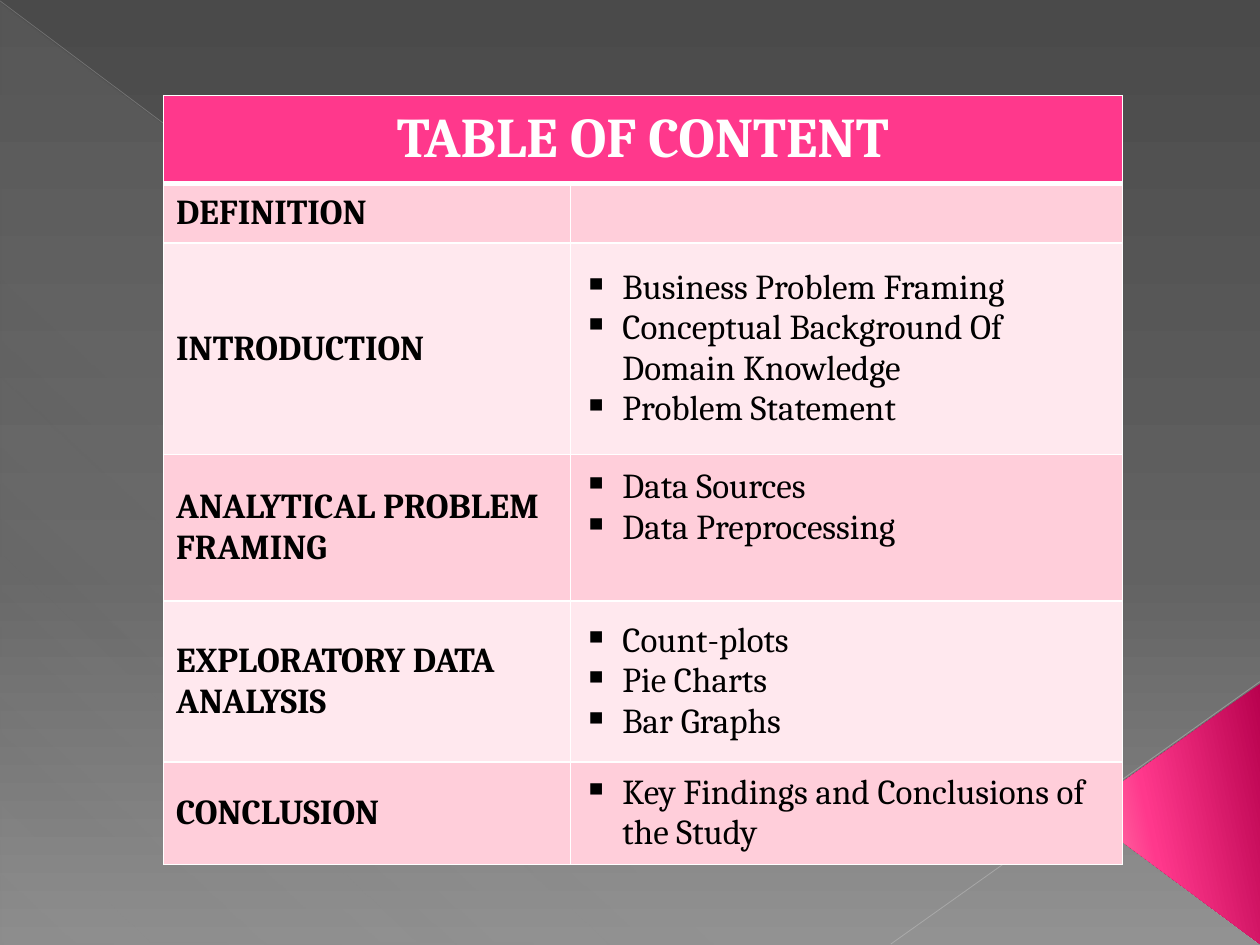
from lxml import etree
from pptx import Presentation
from pptx import util as u
from pptx.dml import color
from pptx.enum import shapes, text
from pptx.oxml import ns

CONTENTS = [
    ("DEFINITION", []),
    ("INTRODUCTION", ["Business Problem Framing",
                      "Conceptual Background Of Domain Knowledge",
                      "Problem Statement"]),
    ("ANALYTICAL PROBLEM FRAMING", ["Data Sources", "Data Preprocessing"]),
    ("EXPLORATORY DATA ANALYSIS", ["Count-plots", "Pie Charts", "Bar Graphs"]),
    ("CONCLUSION", ["Key Findings and Conclusions of the Study"]),
]
COLUMN_WIDTHS = [232.5, 315.4]
ROW_HEIGHTS = [50.4, 33.8, 121, 83.6, 92.2, 58.4]
BANDS = ["FFCEDA", "FFE8EE"]


def rgb(value):
    return color.RGBColor.from_string(value)


def add_child(parent, tag, **attributes):
    child = etree.SubElement(parent, ns.qn(tag))
    for name, value in attributes.items():
        child.set(name, str(value))
    return child


def add_color(parent, value, opacity=100):
    """Append a hex colour, with its opacity in percent."""
    node = add_child(parent, "a:srgbClr", val=value)
    if opacity < 100:
        add_child(node, "a:alpha", val=opacity * 1000)


class SlideBuilder:
    font = "Cambria"
    text_size = 20
    bullet_indent = u.Pt(22.5)

    def __init__(self, slide):
        self.slide = slide

    def gradient(self, fill, element, stops, angle):
        """Fill with (position, colour, opacity) stops; the angle runs clockwise."""
        fill.gradient()
        fill.gradient_angle = 360 - angle
        stop_list = element.find(".//" + ns.qn("a:gsLst"))
        for stop in list(stop_list):
            stop_list.remove(stop)
        for position, value, opacity in stops:
            add_color(add_child(stop_list, "a:gs", pos=position * 1000), value, opacity)

    def background(self, stops, angle):
        self.gradient(self.slide.background.fill, self.slide.element, stops, angle)

    def shape(self, kind, left, top, width, height, stops, angle, rotation=0):
        shape = self.slide.shapes.add_shape(
            kind, u.Pt(left), u.Pt(top), u.Pt(width), u.Pt(height))
        shape.shadow.inherit = False
        shape.line.fill.background()
        shape.rotation = rotation
        self.gradient(shape.fill, shape.element.spPr, stops, angle)
        return shape

    def line(self, start, end, value, width, opacity):
        line = self.slide.shapes.add_connector(
            shapes.MSO_CONNECTOR.STRAIGHT, *map(u.Pt, start + end))
        line.line.color.rgb = rgb(value)
        line.line.width = u.Pt(width)
        properties = line.element.spPr
        line_color = properties.find(".//" + ns.qn("a:srgbClr"))
        add_child(line_color, "a:alpha", val=opacity * 1000)
        add_child(properties, "a:effectLst")

    def table(self, left, top, widths, heights):
        table = self.slide.shapes.add_table(
            len(heights), len(widths), u.Pt(left), u.Pt(top),
            u.Pt(sum(widths)), u.Pt(sum(heights))).table
        table.first_row = table.horz_banding = False
        for column, width in zip(table.columns, widths):
            column.width = u.Pt(width)
        for row, height in zip(table.rows, heights):
            row.height = u.Pt(height)
        return table

    def cell(self, cell, lines, fill, value="000000", size=text_size, bold=False,
             bullets=False, align=text.PP_ALIGN.LEFT, top_border=1, bottom_border=1):
        cell.vertical_anchor = text.MSO_ANCHOR.MIDDLE
        properties = cell._tc.get_or_add_tcPr()
        borders = {"L": 1, "R": 1, "T": top_border, "B": bottom_border}
        for side, width in borders.items():
            border = add_child(properties, "a:ln" + side, w=u.Pt(width))
            add_color(add_child(border, "a:solidFill"), "FFFFFF")
        cell.fill.solid()
        cell.fill.fore_color.rgb = rgb(fill)
        for index, line in enumerate(lines):
            frame = cell.text_frame
            paragraph = frame.add_paragraph() if index else frame.paragraphs[0]
            paragraph.text = line
            paragraph.alignment = align
            font = paragraph.font
            font.name, font.size, font.bold = self.font, u.Pt(size), bold
            font.color.rgb = rgb(value)
            if bullets:
                self.bullet(paragraph)

    def bullet(self, paragraph):
        properties = paragraph._p.get_or_add_pPr()
        properties.set("marL", str(self.bullet_indent))
        properties.set("indent", str(-self.bullet_indent))
        mark = etree.Element(ns.qn("a:buChar"), char="▪")
        properties.insert(0, mark)


def add_backdrop(builder):
    builder.background([(0, "4A4A4A", 100), (60, "626262", 100), (100, "8C8C8C", 100)], 90)
    builder.shape(shapes.MSO_SHAPE.RIGHT_TRIANGLE, 0.5, 1.5, 719, 538.5,
                  [(0, "D2D2D2", 10), (70, "D2D2D2", 8), (100, "D2D2D2", 1)], 133)
    builder.line((0, 0.5), (719.5, 539.5), "BFBFBF", 0.39, 35)
    builder.line((720, 389.5), (509, 539.5), "C6C6C6", 0.47, 45)
    accent = builder.shape(
        shapes.MSO_SHAPE.ISOSCELES_TRIANGLE, 594.7, 414, 149, 102.2,
        [(0, "B8014E", 100), (60, "FF388C", 100), (100, "FF9CB9", 100)], 258, rotation=270)
    accent.adjustments[0] = 0.51


def add_contents(builder):
    table = builder.table(93.5, 54.6, COLUMN_WIDTHS, ROW_HEIGHTS)
    header = table.cell(0, 0)
    header.merge(table.cell(0, 1))
    builder.cell(header, ["TABLE OF CONTENT"], "FF388C", "FFFFFF", 32, bold=True,
                 align=text.PP_ALIGN.CENTER, bottom_border=3)
    builder.cell(table.cell(0, 1), [], "FF388C", bottom_border=3)
    for row, (section, topics) in enumerate(CONTENTS, start=1):
        fill = BANDS[(row - 1) % 2]
        top_border = 3 if row == 1 else 1
        builder.cell(table.cell(row, 0), [section], fill, bold=True, top_border=top_border)
        builder.cell(table.cell(row, 1), topics, fill, bullets=True, top_border=top_border)
    # The data topics sit one text line higher than the middle of their row.
    table.cell(3, 1).margin_bottom = u.Pt(26.5)


def main():
    presentation = Presentation()
    presentation.slide_width, presentation.slide_height = u.Pt(720), u.Pt(540)
    blank_layout = presentation.slide_layouts[6]
    builder = SlideBuilder(presentation.slides.add_slide(blank_layout))
    add_backdrop(builder)
    add_contents(builder)
    presentation.save("out.pptx")


if __name__ == "__main__":
    main()
